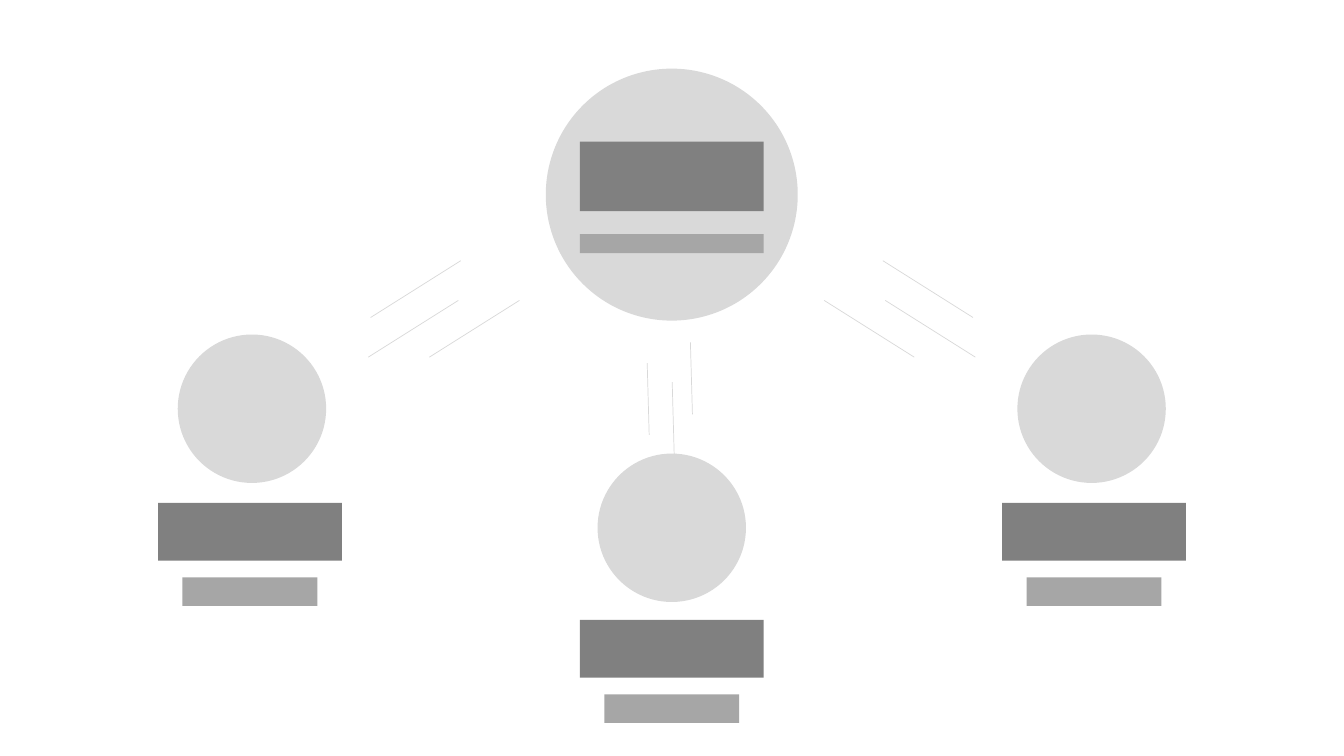
from pptx import Presentation
from pptx.dml.color import RGBColor
from pptx.enum.shapes import MSO_CONNECTOR as CONN, MSO_SHAPE as SHAPE
from pptx.oxml.ns import qn
from pptx.util import Cm, Pt
from lxml import etree

LIGHT, MID, DARK = "D9D9D9", "A6A6A6", "808080"
CENTER = 16.93


def rgb(value):
    return RGBColor.from_string(value)


def add_centered(kind, cx, top, width, height, color):
    sp = s.shapes.add_shape(kind, Cm(cx - width / 2), Cm(top), Cm(width), Cm(height))
    sp.shadow.inherit = False
    sp.fill.solid()
    sp.fill.fore_color.rgb = rgb(color)
    sp.line.fill.background()


prs = Presentation()
prs.slide_width, prs.slide_height = Cm(33.87), Cm(19.05)
s = prs.slides.add_slide(prs.slide_layouts[6])

# Circles: main node and three branches
add_centered(SHAPE.OVAL, CENTER, 1.73, 6.35, 6.35, LIGHT)
for cx, top in [(6.35, 8.43), (CENTER, 11.43), (27.51, 8.43)]:
    add_centered(SHAPE.OVAL, cx, top, 3.74, 3.74, LIGHT)

# Line groups: start points and a shared direction; the right mirrors the left
left_starts = [(11.61, 6.57), (11.55, 7.57), (13.09, 7.57)]
right_starts = [(2 * CENTER - x, y) for x, y in left_starts]
middle_starts = [(16.31, 9.15), (16.94, 9.63), (17.4, 8.63)]
line_groups = [
    (left_starts, -2.27, 1.43),
    (middle_starts, 0.05, 1.81),
    (right_starts, 2.27, 1.43),
]
for starts, dx, dy in line_groups:
    group = s.shapes.add_group_shape()
    for x, y in starts:
        line = group.shapes.add_connector(CONN.STRAIGHT, Cm(x), Cm(y), Cm(x + dx), Cm(y + dy))
        line.line.color.rgb = rgb(LIGHT)
        line.line.width = Pt(0.5)
        etree.SubElement(line._element.spPr, qn("a:effectLst"))

# Title and subtitle bars under each branch
for cx, top in [(6.3, 12.67), (27.57, 12.67), (CENTER, 15.62)]:
    add_centered(SHAPE.RECTANGLE, cx, top, 4.63, 1.46, DARK)
    add_centered(SHAPE.RECTANGLE, cx, top + 1.88, 3.4, 0.72, MID)

# Bars inside the main circle
add_centered(SHAPE.RECTANGLE, CENTER, 3.57, 4.63, 1.75, DARK)
add_centered(SHAPE.RECTANGLE, CENTER, 5.9, 4.63, 0.48, MID)

prs.save("out.pptx")
